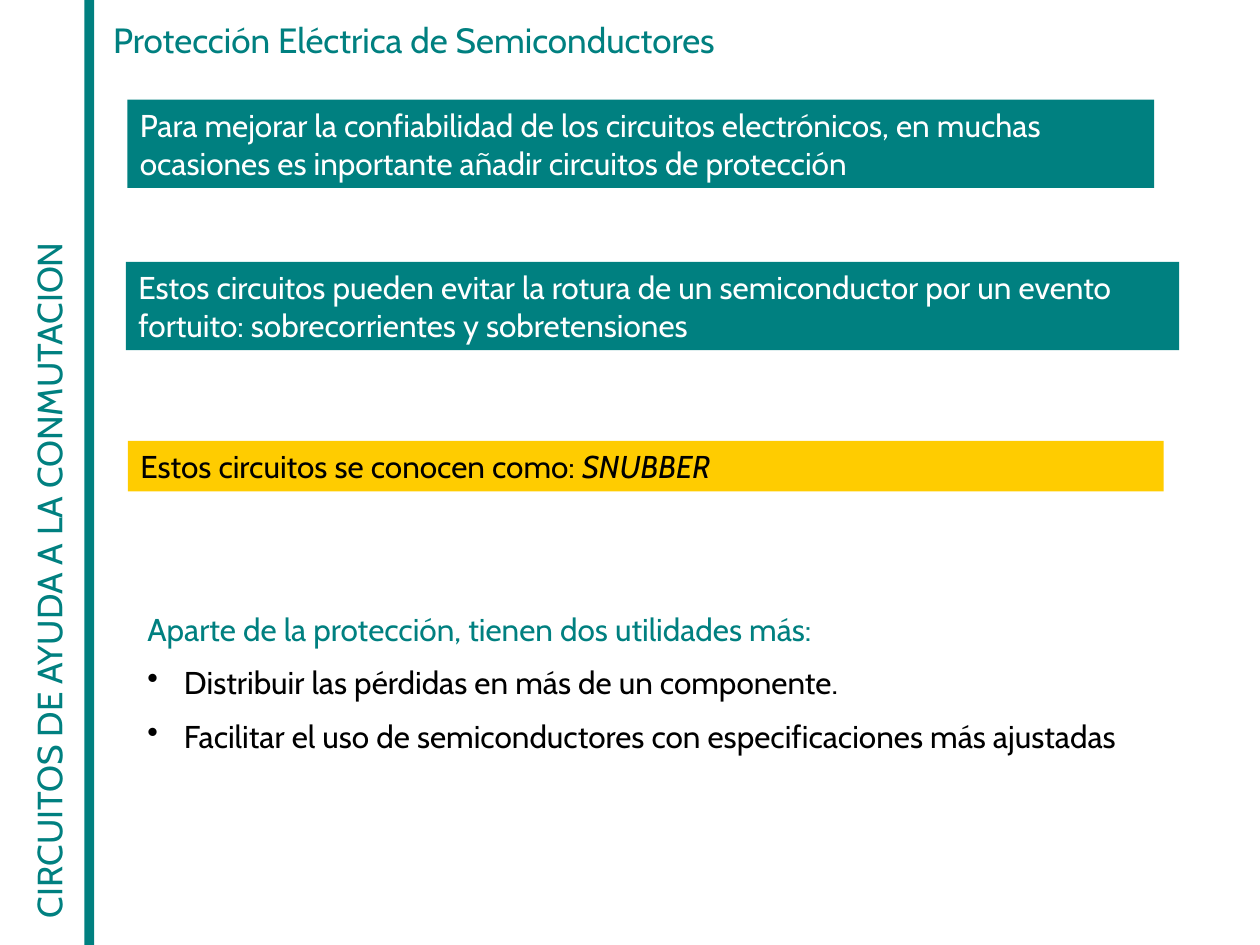
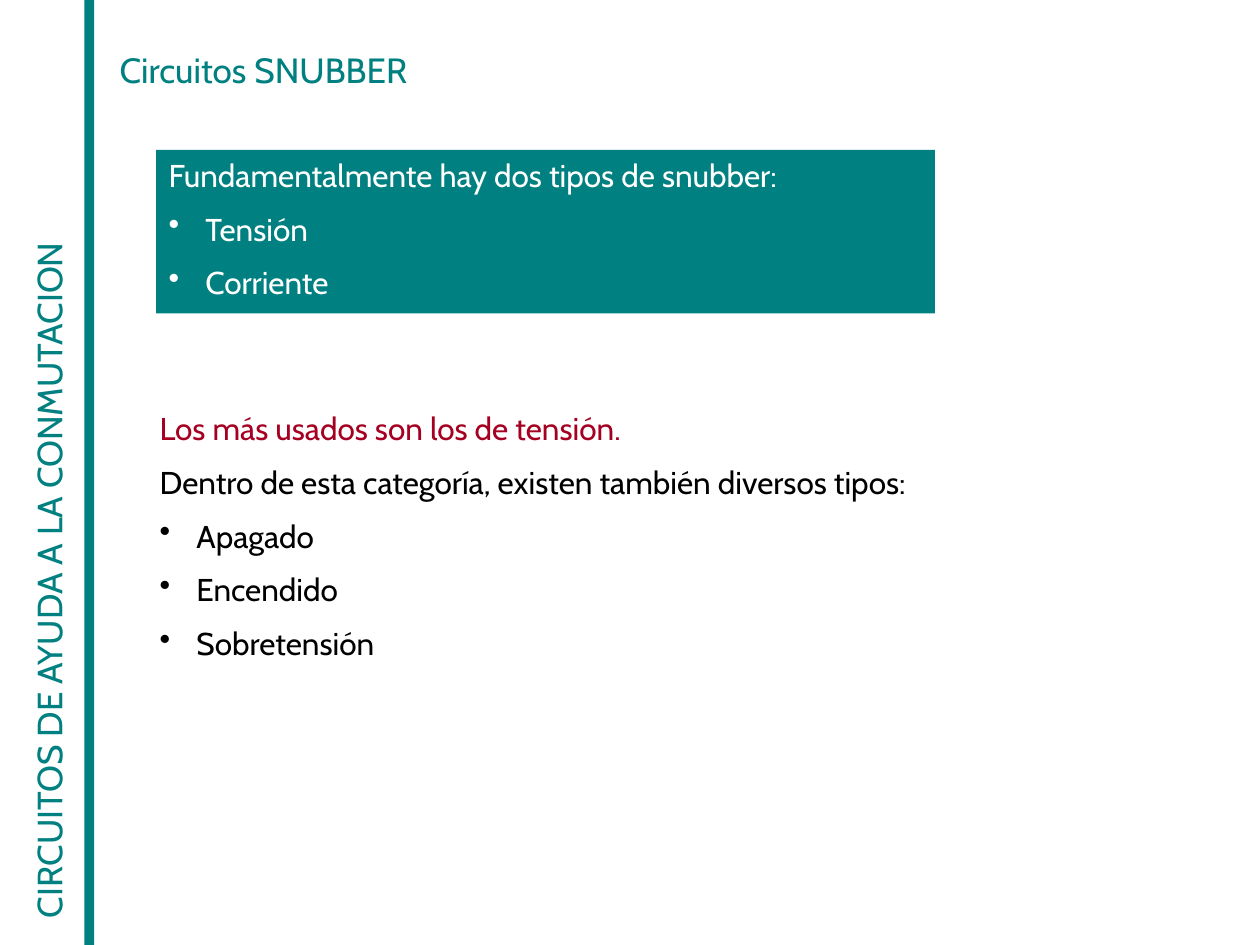
from lxml import etree
from pptx import Presentation
from pptx.dml.color import RGBColor
from pptx.enum.shapes import MSO_SHAPE
from pptx.enum.text import MSO_ANCHOR, PP_ALIGN
from pptx.oxml.ns import qn
from pptx.util import Cm, Pt

RECT = MSO_SHAPE.RECTANGLE
TOP = MSO_ANCHOR.TOP
LEFT = PP_ALIGN.LEFT

TEAL = RGBColor(0x00, 0x80, 0x80)
GOLD = RGBColor(0xFF, 0xCC, 0x00)
RED = RGBColor(0xA5, 0x00, 0x21)
WHITE = RGBColor(0xFF, 0xFF, 0xFF)
BLACK = RGBColor(0x00, 0x00, 0x00)

FONT = "Cabin"
HEAD = 20
BODY = 18
INDENT = Cm(0.74)
CHAPTER = "CIRCUITOS DE AYUDA A LA CONMUTACION"


def add_rect(slide, box, fill):
    rect = slide.shapes.add_shape(RECT, *map(Cm, box))
    rect.shadow.inherit = False
    rect.fill.solid()
    rect.fill.fore_color.rgb = fill
    rect.line.fill.background()
    return rect


def add_text(slide, box, lines, size=BODY, fill=None):
    """Add (text, colour) lines, on a filled band if asked; a leading • makes a bullet."""
    if fill is None:
        shape = slide.shapes.add_textbox(*map(Cm, box))
    else:
        shape = add_rect(slide, box, fill)
    frame = shape.text_frame
    frame.word_wrap = True
    frame.vertical_anchor = TOP
    for i, (text, colour) in enumerate(lines):
        para = frame.add_paragraph() if i else frame.paragraphs[0]
        para.alignment = LEFT
        para.space_before = Pt(size / 2 if i else 0)
        if text.startswith("•"):
            props = para._p.get_or_add_pPr()
            props.set("marL", str(INDENT))
            props.set("indent", str(-INDENT))
            etree.SubElement(props, qn("a:buChar"), char="•")
        para.text = text.removeprefix("•")
        para.font.name = FONT
        para.font.size = Pt(size)
        para.font.color.rgb = colour
    return shape


prs = Presentation()
prs.slide_width = Cm(25.4)
prs.slide_height = Cm(19.05)
blank = prs.slide_layouts[6]

# Shared frame: side bar, upright chapter name and title
slides = []
for title, left, top in [
    ("Protección Eléctrica de Semiconductores", 2.03, 0.25),
    ("Circuitos SNUBBER", 2.16, 0.86),
]:
    slide = prs.slides.add_slide(blank)
    add_rect(slide, (1.7, 0, 0.2, 19.05), TEAL)
    side = add_text(slide, (-8.2, 9.04, 18.34, 1.09), [(CHAPTER, TEAL)], HEAD)
    side.rotation = 270
    add_text(slide, (left, top, 18.8, 1.09), [(title, TEAL)], HEAD)
    slides.append(slide)
guard, snub = slides

# Slide 1: why circuits are protected
add_text(guard, (2.57, 2.01, 20.7, 1.78), [
    ("Para mejorar la confiabilidad de los circuitos electrónicos, en muchas "
     "ocasiones es inportante añadir circuitos de protección", WHITE),
], fill=TEAL)
add_text(guard, (2.54, 5.28, 21.23, 1.78), [
    ("Estos circuitos pueden evitar la rotura de un semiconductor por un evento "
     "fortuito: sobrecorrientes y sobretensiones", WHITE),
], fill=TEAL)
name = add_text(guard, (2.58, 8.89, 20.88, 1.02), [
    ("Estos circuitos se conocen como: ", BLACK),
], fill=GOLD)
run = name.text_frame.paragraphs[0].add_run()
run.text = "SNUBBER"
run.font.italic = True
add_text(guard, (2.72, 12.17, 21.23, 3.33), [
    ("Aparte de la protección, tienen dos utilidades más:", TEAL),
    ("•Distribuir las pérdidas en más de un componente.", BLACK),
    ("•Facilitar el uso de semiconductores con especificaciones más ajustadas", BLACK),
])

# Slide 2: kinds of snubber
add_text(snub, (3.15, 3.02, 15.7, 3.3), [
    ("Fundamentalmente hay dos tipos de snubber:", WHITE),
    ("•Tensión", WHITE),
    ("•Corriente", WHITE),
], fill=TEAL)
add_text(snub, (2.97, 8.13, 19.33, 5.61), [
    ("Los más usados son los de tensión.", RED),
    ("Dentro de esta categoría, existen también diversos tipos:", BLACK),
    ("•Apagado", BLACK),
    ("•Encendido", BLACK),
    ("•Sobretensión", BLACK),
])

prs.save("out.pptx")
